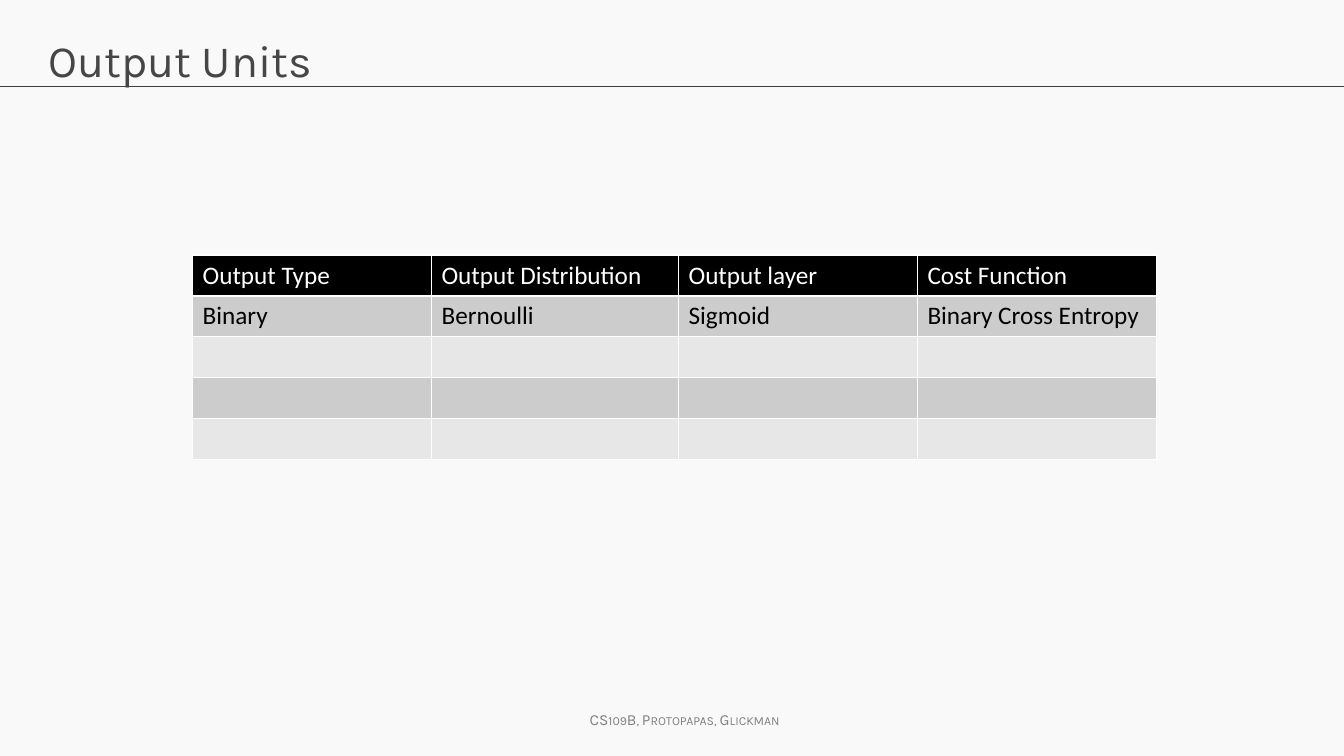
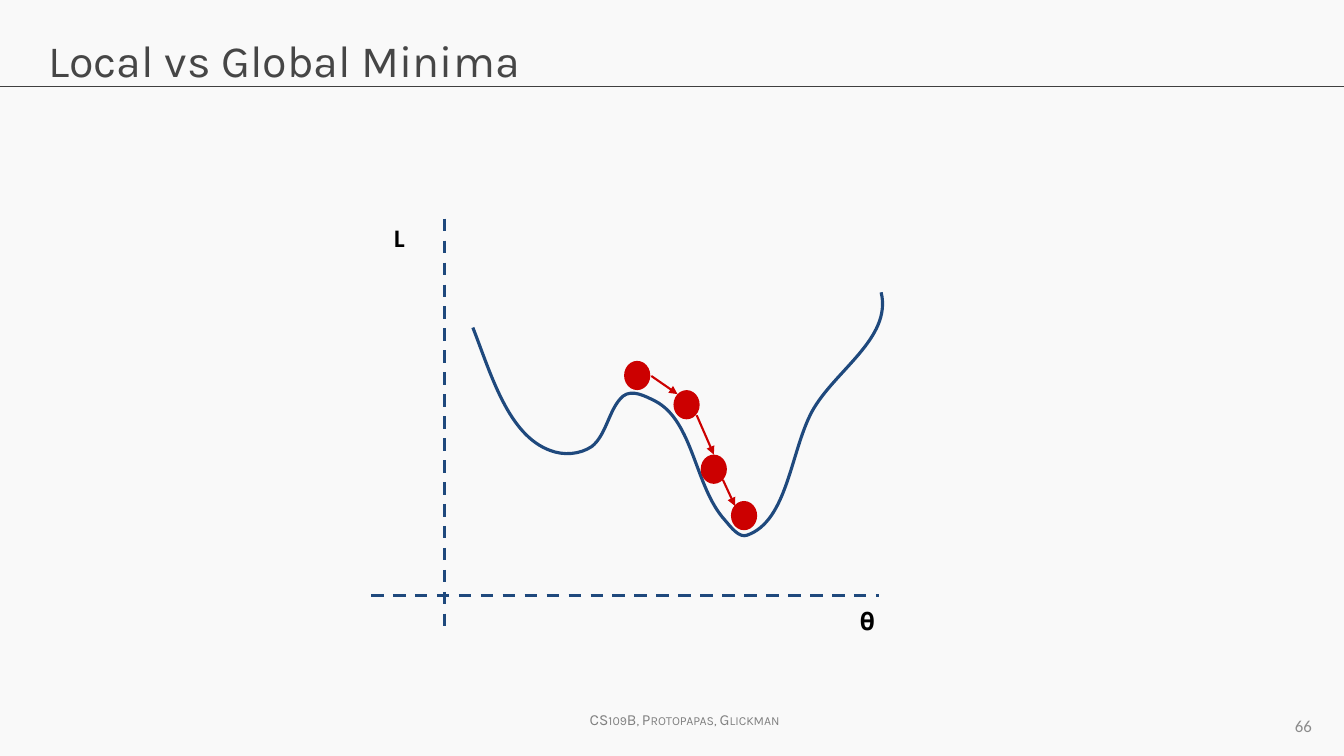
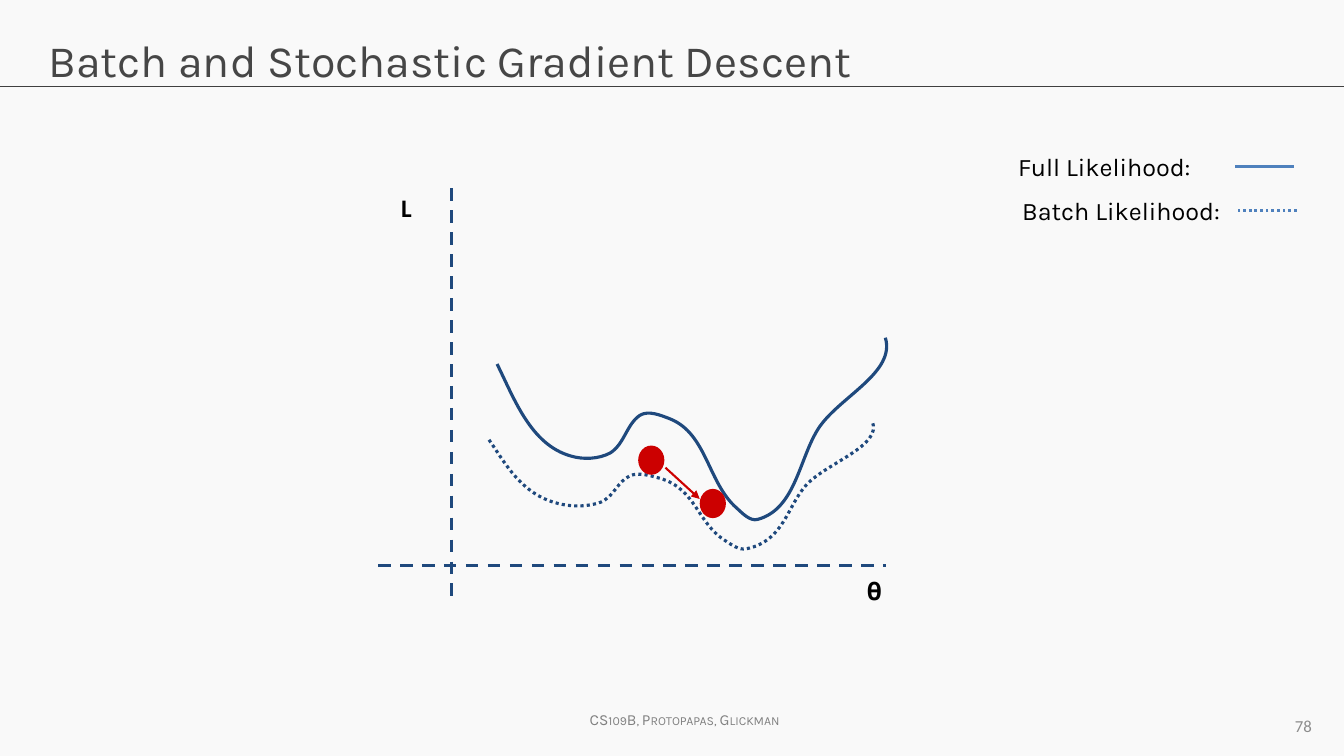
"""Builds three lecture slides on output units, minima and gradient descent."""
import lxml.etree
import pptx
import pptx.dml.color
import pptx.enum.dml
import pptx.enum.shapes
import pptx.enum.text
import pptx.oxml.ns
import pptx.util

Inches = pptx.util.Inches
Pt = pptx.util.Pt
RGBColor = pptx.dml.color.RGBColor
qn = pptx.oxml.ns.qn
DASH = pptx.enum.dml.MSO_LINE.DASH
DOTTED = pptx.enum.dml.MSO_LINE.ROUND_DOT

BACKGROUND = RGBColor(0xF9, 0xF9, 0xF9)
RULE_GRAY = RGBColor(0x40, 0x40, 0x40)
TITLE_GRAY = RGBColor(0x46, 0x46, 0x46)
FOOTER_GRAY = RGBColor(0x80, 0x80, 0x80)
NUMBER_GRAY = RGBColor(0x8C, 0x8C, 0x8C)
BLACK = RGBColor(0x00, 0x00, 0x00)
WHITE = RGBColor(0xFF, 0xFF, 0xFF)
NAVY = RGBColor(0x1F, 0x49, 0x7D)
LEGEND_BLUE = RGBColor(0x4F, 0x81, 0xBD)
RED = RGBColor(0xCC, 0x00, 0x00)
BAND_DARK = RGBColor(0xCC, 0xCC, 0xCC)
BAND_LIGHT = RGBColor(0xE7, 0xE7, 0xE7)


def add_text(slide, text, left, top, width, height, size, color, font="Karla", inset=0.05):
    """Add a one-paragraph text box and return its text frame."""
    box = slide.shapes.add_textbox(Inches(left), Inches(top), Inches(width), Inches(height))
    text_frame = box.text_frame
    text_frame.word_wrap = True
    text_frame.margin_top = Inches(inset)
    text_frame.text = text
    run = text_frame.paragraphs[0].runs[0]
    run.font.name = font
    run.font.size = Pt(size)
    run.font.color.rgb = color
    return text_frame


def add_line(slide, start_x, start_y, end_x, end_y, color, width, dash=None, arrow=False):
    """Add a straight line, optionally dashed or ending in an arrowhead."""
    connector = slide.shapes.add_connector(
        pptx.enum.shapes.MSO_CONNECTOR.STRAIGHT,
        Inches(start_x), Inches(start_y), Inches(end_x), Inches(end_y))
    connector.line.color.rgb = color
    connector.line.width = Pt(width)
    if dash:
        connector.line.dash_style = dash
    properties = connector._element.spPr
    if arrow:
        lxml.etree.SubElement(properties.find(qn("a:ln")), qn("a:tailEnd"), type="triangle")
    lxml.etree.SubElement(properties, qn("a:effectLst"))


presentation = pptx.Presentation()
presentation.slide_width = Inches(13.33)
presentation.slide_height = Inches(7.5)

titles = ["Output Units", "Local vs Global Minima", "Batch and Stochastic Gradient Descent"]
for title in titles:
    slide = presentation.slides.add_slide(presentation.slide_layouts[6])
    slide.background.fill.solid()
    slide.background.fill.fore_color.rgb = BACKGROUND
    add_line(slide, 0, 0.86, 13.33, 0.86, RULE_GRAY, 0.75)
    footer = add_text(slide, "CS109B, Protopapas, Glickman", 5.75, 7, 2.19, 0.29, 11, FOOTER_GRAY)
    footer.paragraphs[0].runs[0].font._element.set("cap", "small")
    add_text(slide, title, 0.38, 0.24, 12.57, 0.84, 32, TITLE_GRAY, inset=0.08)

table_slide, minima_slide, batch_slide = presentation.slides

rows = [
    ["Output Type", "Output Distribution", "Output layer", "Cost Function"],
    ["Binary", "Bernoulli", "Sigmoid", "Binary Cross Entropy"],
    [""] * 4,
    [""] * 4,
    [""] * 4,
]
row_fills = [BLACK, BAND_DARK, BAND_LIGHT, BAND_DARK, BAND_LIGHT]
column_widths = [2.37, 2.45, 2.37, 2.37]
table = table_slide.shapes.add_table(
    len(rows), len(column_widths), Inches(1.91), Inches(2.53), Inches(9.56), Inches(2.03)).table
for column, width in zip(table.columns, column_widths):
    column.width = Inches(width)
for row_index, (texts, row_fill) in enumerate(zip(rows, row_fills)):
    for column_index, text in enumerate(texts):
        cell = table.cell(row_index, column_index)
        cell.text = text
        font = cell.text_frame.paragraphs[0].font
        for run in cell.text_frame.paragraphs[0].runs:
            font = run.font
        font.name = "Calibri"
        font.size = Pt(18)
        font.bold = False
        font.color.rgb = WHITE if row_index == 0 else BLACK
        cell_properties = cell._tc.get_or_add_tcPr()
        for side in ["a:lnL", "a:lnR", "a:lnT", "a:lnB"]:
            border = lxml.etree.SubElement(cell_properties, qn(side), w=str(Pt(1)))
            border_fill = lxml.etree.SubElement(border, qn("a:solidFill"))
            lxml.etree.SubElement(border_fill, qn("a:srgbClr"), val=str(WHITE))
        cell.fill.solid()
        cell.fill.fore_color.rgb = row_fill

LOSS_LEFT, LOSS_TOP, LOSS_WIDTH, LOSS_HEIGHT = 4.69, 2.9, 4.07, 2.42
LOSS_POINTS = [
    (4.69, 3.25),
    (4.87, 3.71), (5.04, 4.32), (5.46, 4.47),
    (5.59, 4.52), (5.75, 4.51), (5.87, 4.43),
    (6.02, 4.31), (6.04, 4.05), (6.18, 3.93),
    (6.27, 3.86), (6.4, 3.93), (6.5, 3.98),
    (6.88, 4.18), (6.89, 4.83), (7.19, 5.16),
    (7.25, 5.23), (7.33, 5.34), (7.41, 5.31),
    (7.81, 5.17), (7.84, 4.49), (8.05, 4.09),
    (8.27, 3.68), (8.85, 3.36), (8.74, 2.9),
]
BALL_WIDTH, BALL_HEIGHT = 0.26, 0.29

plots = [
    dict(slide=minima_slide, number="66", left=3.68, top=2.17,
         curves=[(4.69, 2.9, 4.07, 2.42, None)],
         balls=[(6.19, 3.58), (6.68, 3.87), (6.95, 4.51), (7.25, 4.97)],
         arrows=[(6.46, 3.73, 6.72, 3.91), (6.91, 4.12, 7.08, 4.51), (7.17, 4.76, 7.29, 5.02)]),
    dict(slide=batch_slide, number="78", left=3.75, top=1.87,
         curves=[(4.85, 4.18, 3.82, 1.27, DOTTED), (4.93, 3.35, 3.87, 1.81, None)],
         balls=[(6.33, 4.42), (6.94, 4.85)],
         arrows=[(6.6, 4.64, 6.94, 4.95)]),
]
for plot in plots:
    slide, left, top = plot["slide"], plot["left"], plot["top"]
    number = add_text(slide, plot["number"], 10, 7, 3.11, 0.4, 12, NUMBER_GRAY, "Calibri")
    number.vertical_anchor = pptx.enum.text.MSO_ANCHOR.MIDDLE
    number.paragraphs[0].alignment = pptx.enum.text.PP_ALIGN.RIGHT

    axis_x, axis_y = left + 0.73, top + 3.74
    add_line(slide, axis_x, top, axis_x, top + 4.12, NAVY, 2.25, DASH)
    add_line(slide, left, axis_y, left + 5.04, axis_y, NAVY, 2.25, DASH)
    loss_label = add_text(slide, "L", left + 0.13, top - 0.06, 0.6, 0.7, 18, BLACK, "Calibri", 0.1)
    loss_label.paragraphs[0].runs[0].font.bold = True
    add_text(slide, "𝛉", left + 4.75, axis_y, 0.6, 0.7, 18, BLACK, "Calibri", 0.1)

    for curve_left, curve_top, curve_width, curve_height, dash in plot["curves"]:
        points = [
            (Inches(curve_left + (x - LOSS_LEFT) * curve_width / LOSS_WIDTH),
             Inches(curve_top + (y - LOSS_TOP) * curve_height / LOSS_HEIGHT))
            for x, y in LOSS_POINTS
        ]
        builder = slide.shapes.build_freeform(*points[0])
        builder.add_line_segments(points[1:], close=False)
        curve = builder.convert_to_shape()
        segments = list(curve._element.iter(qn("a:lnTo")))
        outline = segments[0].getparent()
        for first in range(0, len(segments), 3):
            bezier = lxml.etree.SubElement(outline, qn("a:cubicBezTo"))
            for segment in segments[first:first + 3]:
                bezier.append(segment[0])
                outline.remove(segment)
        curve.shadow.inherit = False
        curve.fill.background()
        curve.line.color.rgb = NAVY
        curve.line.width = Pt(2.25)
        if dash:
            curve.line.dash_style = dash

    for ball_left, ball_top in plot["balls"]:
        ball = slide.shapes.add_shape(
            pptx.enum.shapes.MSO_SHAPE.OVAL,
            Inches(ball_left), Inches(ball_top), Inches(BALL_WIDTH), Inches(BALL_HEIGHT))
        ball.shadow.inherit = False
        ball.fill.solid()
        ball.fill.fore_color.rgb = RED
        ball.line.fill.background()
    for arrow in plot["arrows"]:
        add_line(slide, *arrow, RED, 1.5, arrow=True)

legend = [
    ("Full Likelihood:", 10, 1.45, 1.99, 12.25, 1.65, None),
    ("Batch Likelihood:", 10.04, 1.89, 2.25, 12.28, 2.09, DOTTED),
]
for text, left, top, width, line_left, line_y, dash in legend:
    add_text(batch_slide, text, left, top, width, 0.4, 18, BLACK)
    add_line(batch_slide, line_left + 0.58, line_y, line_left, line_y, LEGEND_BLUE, 2, dash)

presentation.save("out.pptx")
